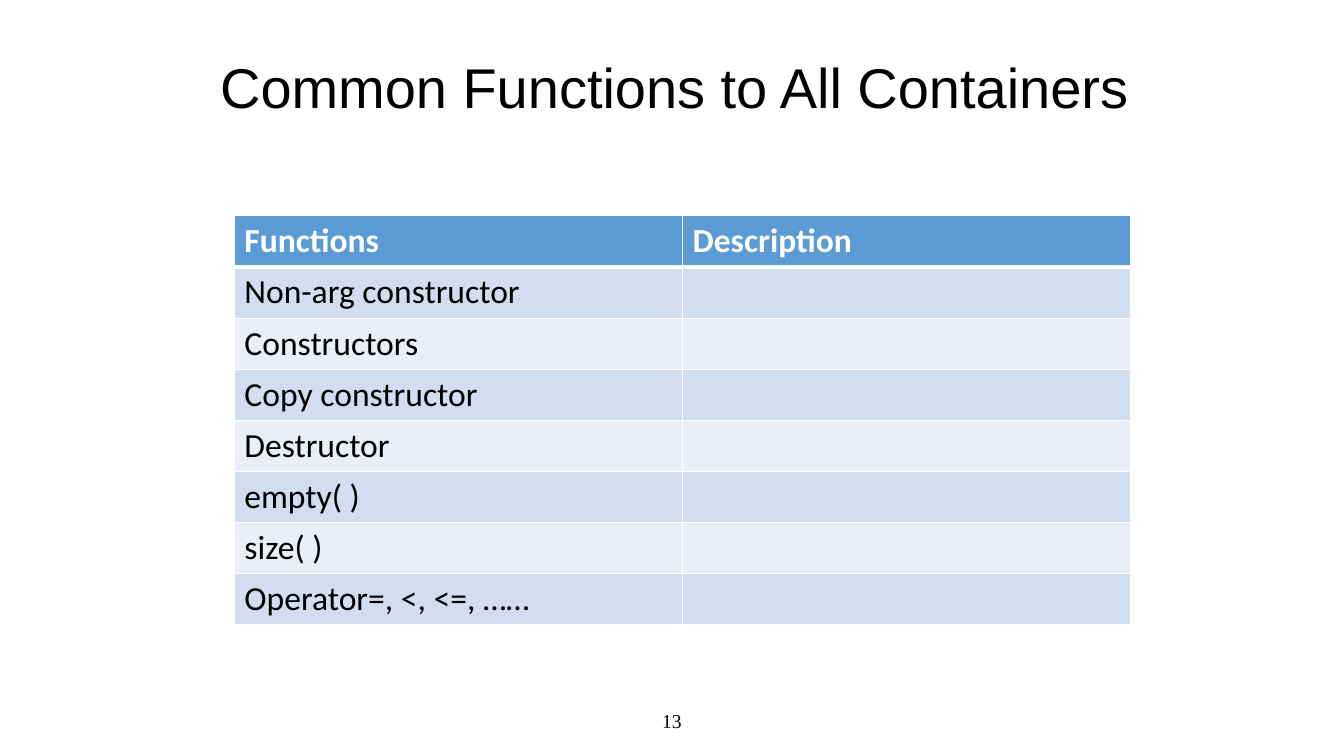
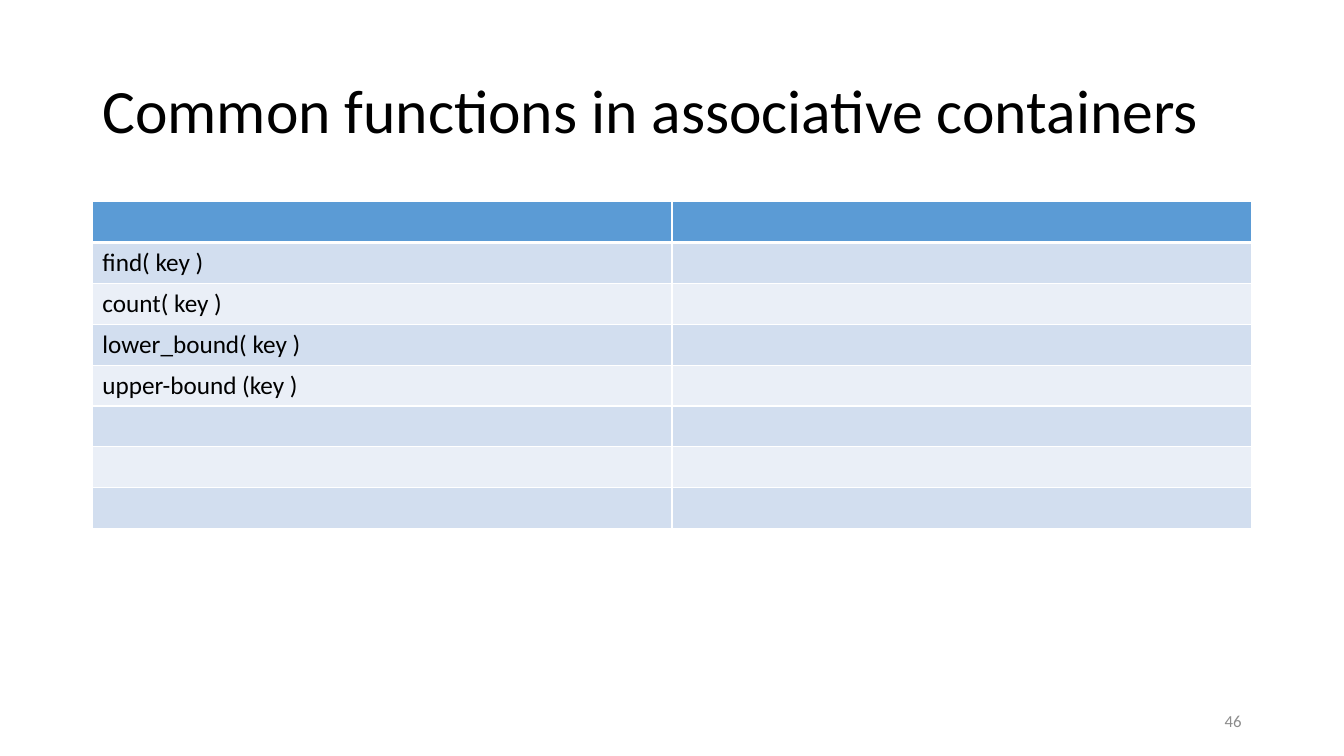
import dataclasses
import typing

import lxml.etree
import pptx
import pptx.dml.color
import pptx.enum.text
import pptx.oxml.ns
import pptx.util

ALIGN = pptx.enum.text.PP_ALIGN
GRID_COLUMNS, GRID_ROWS = 160, 90


@dataclasses.dataclass(frozen=True)
class Theme:
    header: str = "5B9BD5"
    bands: tuple[str, str] = ("D2DEEF", "EAEFF7")
    rule: str = "FFFFFF"
    header_text: str = "FFFFFF"
    text: str = "000000"
    muted: str = "8C8C8C"
    body_font: str = "Calibri"
    thin_rule: float = 1
    thick_rule: float = 3
    title_spacing: float = 0.9


THEME = Theme()


@dataclasses.dataclass(frozen=True)
class Area:
    column: float
    row: float
    columns: float
    rows: float


@dataclasses.dataclass(frozen=True)
class Label:
    text: str
    area: Area
    font: str
    size: float
    align: typing.Any
    color: str = THEME.text


@dataclasses.dataclass(frozen=True)
class FunctionTable:
    area: Area
    headings: tuple[str, str]
    functions: tuple[str, ...]
    size: float


@dataclasses.dataclass(frozen=True)
class Page:
    title: Label
    table: FunctionTable
    number: Label


PAGES = (
    Page(
        Label("Common Functions to All Containers", Area(0.5, 4.7, 159.5, 12.2),
              "Arial", 40, ALIGN.CENTER),
        FunctionTable(
            Area(27.9, 25.7, 106.7, 48.6),
            ("Functions", "Description"),
            ("Non-arg constructor", "Constructors", "Copy constructor", "Destructor",
             "empty( )", "size( )", "Operator=, <, <=, ……"),
            24),
        Label("13", Area(53, 83.4, 54, 4.8), "Times New Roman", 14, ALIGN.CENTER),
    ),
    Page(
        Label("Common functions in associative containers", Area(11, 4.8, 138, 17.4),
              THEME.body_font, 44, ALIGN.LEFT),
        FunctionTable(
            Area(11, 24, 138, 38.9),
            ("", ""),
            ("find( key )", "count( key )", "lower_bound( key )", "upper-bound (key )",
             "", "", ""),
            18),
        Label("46", Area(113, 83.4, 36, 4.8), THEME.body_font, 12, ALIGN.RIGHT, THEME.muted),
    ),
)


def rgb(color: str) -> pptx.dml.color.RGBColor:
    return pptx.dml.color.RGBColor.from_string(color)


def bounds(deck: typing.Any, area: Area) -> tuple[int, int, int, int]:
    across, down = deck.slide_width / GRID_COLUMNS, deck.slide_height / GRID_ROWS
    return (round(area.column * across), round(area.row * down),
            round(area.columns * across), round(area.rows * down))


def write(frame: typing.Any, text: str, *, font: str, size: float, color: str,
          align: typing.Any = ALIGN.LEFT, bold: bool = False,
          spacing: float | None = None) -> None:
    paragraph = frame.paragraphs[0]
    paragraph.alignment = align
    paragraph.line_spacing = spacing
    run = paragraph.add_run()
    run.text = text
    run.font.name = font
    run.font.size = pptx.util.Pt(size)
    run.font.bold = bold
    run.font.color.rgb = rgb(color)


def write_label(frame: typing.Any, label: Label, spacing: float | None = None) -> None:
    frame.word_wrap = True
    frame.auto_size = pptx.enum.text.MSO_AUTO_SIZE.NONE
    frame.vertical_anchor = pptx.enum.text.MSO_ANCHOR.MIDDLE
    write(frame, label.text, font=label.font, size=label.size, color=label.color,
          align=label.align, spacing=spacing)


def rule_cell(cell: typing.Any, widths: dict[str, float]) -> None:
    qn = pptx.oxml.ns.qn
    properties = cell._tc.get_or_add_tcPr()
    for edge, width in widths.items():
        line = lxml.etree.SubElement(properties, qn(f"a:ln{edge}"), w=str(pptx.util.Pt(width)))
        fill = lxml.etree.SubElement(line, qn("a:solidFill"))
        lxml.etree.SubElement(fill, qn("a:srgbClr"), val=THEME.rule)


def draw_table(deck: typing.Any, slide: typing.Any, content: FunctionTable) -> None:
    entries = (content.headings, *((function, "") for function in content.functions))
    table = slide.shapes.add_table(len(entries), len(content.headings),
                                   *bounds(deck, content.area)).table
    for index, entry in enumerate(entries):
        heading = index == 0
        widths = {"L": THEME.thin_rule, "R": THEME.thin_rule,
                  "T": THEME.thick_rule if index == 1 else THEME.thin_rule,
                  "B": THEME.thick_rule if heading else THEME.thin_rule}
        for column, text in enumerate(entry):
            cell = table.cell(index, column)
            rule_cell(cell, widths)
            cell.fill.solid()
            cell.fill.fore_color.rgb = rgb(THEME.header if heading else THEME.bands[(index - 1) % 2])
            if text:
                write(cell.text_frame, text, font=THEME.body_font, size=content.size,
                      color=THEME.header_text if heading else THEME.text, bold=heading)


def draw_page(deck: typing.Any, page: Page) -> None:
    slide = deck.slides.add_slide(deck.slide_layouts.get_by_name("Title Only"))
    title = slide.shapes.title
    title.left, title.top, title.width, title.height = bounds(deck, page.title.area)
    write_label(title.text_frame, page.title, THEME.title_spacing)
    draw_table(deck, slide, page.table)
    number = slide.shapes.add_textbox(*bounds(deck, page.number.area))
    write_label(number.text_frame, page.number)


def main() -> None:
    deck = pptx.Presentation()
    deck.slide_height = pptx.util.Inches(7.5)
    deck.slide_width = deck.slide_height * 16 // 9
    for page in PAGES:
        draw_page(deck, page)
    deck.save("out.pptx")


if __name__ == "__main__":
    main()
